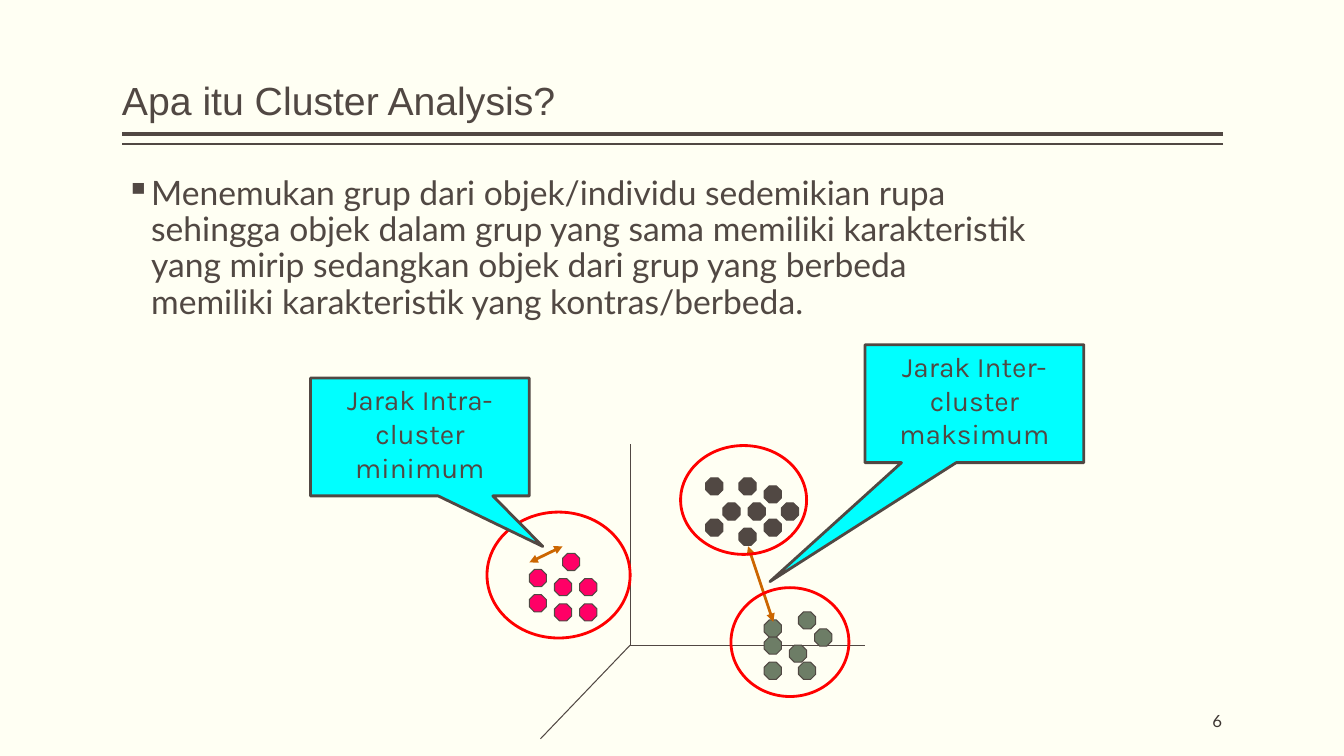
from lxml import etree
from pptx import Presentation
from pptx import util as u
from pptx.dml.color import RGBColor
from pptx.enum import shapes, text
from pptx.oxml.ns import qn

PX = 9144
CREAM = RGBColor(0xFF, 0xFF, 0xF3)
BROWN = RGBColor(0x51, 0x48, 0x43)
DARK = RGBColor(0x3D, 0x36, 0x32)
PINK = RGBColor(0xFF, 0x00, 0x66)
GREEN = RGBColor(0x6D, 0x7D, 0x66)
ORANGE = RGBColor(0xCC, 0x66, 0x00)
CYAN = RGBColor(0x00, 0xFF, 0xFF)
RED = RGBColor(0xFF, 0x00, 0x00)


class ClusterSlide:
    dot_size = 17
    bullet_indent = 25

    def __init__(self, prs):
        self.slide = prs.slides.add_slide(prs.slide_layouts[6])
        self.slide.background.fill.solid()
        self.slide.background.fill.fore_color.rgb = CREAM
        self.shapes = self.slide.shapes

    def px(self, *lengths):
        return [u.Emu(length * PX) for length in lengths]

    def set_words(self, frame, words, font, size, color, align):
        frame.word_wrap = True
        frame.text = words
        paragraph = frame.paragraphs[0]
        paragraph.alignment = align
        for run in paragraph.runs:
            run.font.name = font
            run.font.size = u.Pt(size)
            run.font.color.rgb = color
        return paragraph

    def label(self, box, words, font, size, color=BROWN,
              anchor=text.MSO_ANCHOR.TOP, align=text.PP_ALIGN.LEFT):
        frame = self.shapes.add_textbox(*self.px(*box)).text_frame
        frame.margin_left = frame.margin_right = 0
        frame.vertical_anchor = anchor
        return self.set_words(frame, words, font, size, color, align)

    def bullet(self, paragraph, mark):
        indent = self.bullet_indent * PX
        props = paragraph._p.get_or_add_pPr()
        props.set("marL", str(indent))
        props.set("indent", str(-indent))
        etree.SubElement(props, qn("a:buChar")).set("char", mark)

    def line(self, start, end, width, color=BROWN, arrows=False):
        link = self.shapes.add_connector(
            shapes.MSO_CONNECTOR.STRAIGHT, *self.px(*start, *end))
        link.line.color.rgb = color
        link.line.width = u.Pt(width)
        if arrows:
            stroke = link.line._get_or_add_ln()
            for tip in ("a:headEnd", "a:tailEnd"):
                etree.SubElement(stroke, qn(tip)).set("type", "triangle")
        etree.SubElement(link._element.spPr, qn("a:effectLst"))

    def outline(self, kind, box, fill, color, width):
        shape = self.shapes.add_shape(kind, *self.px(*box))
        shape.shadow.inherit = False
        if fill is None:
            shape.fill.background()
        else:
            shape.fill.solid()
            shape.fill.fore_color.rgb = fill
        shape.line.color.rgb = color
        shape.line.width = u.Pt(width)
        return shape

    def dots(self, places, fill):
        for left, top in places:
            self.outline(shapes.MSO_SHAPE.OCTAGON,
                         (left, top, self.dot_size, self.dot_size),
                         fill, BROWN, 0.75)

    def ring(self, box):
        self.outline(shapes.MSO_SHAPE.OVAL, box, None, RED, 2)

    def callout(self, left, top, words, tip):
        shape = self.outline(shapes.MSO_SHAPE.RECTANGULAR_CALLOUT,
                             (left, top, 217, 117), CYAN, BROWN, 2)
        shape.adjustments[0], shape.adjustments[1] = tip
        shape.text_frame.vertical_anchor = text.MSO_ANCHOR.TOP
        self.set_words(shape.text_frame, words, "Karla", 20, BROWN,
                       text.PP_ALIGN.CENTER)


def main():
    prs = Presentation()
    prs.slide_width, prs.slide_height = u.Emu(1333 * PX), u.Emu(750 * PX)
    page = ClusterSlide(prs)

    for rule_y, weight in ((133, 3), (143, 1)):
        page.line((1213, rule_y), (121, rule_y), weight)
    title = page.label((121, 8, 1092, 120), "Apa itu Cluster Analysis?",
                       "Arial", 28, anchor=text.MSO_ANCHOR.BOTTOM)
    title.line_spacing = 0.9
    definition = page.label(
        (125, 170, 900, 495),
        "Menemukan grup dari objek/individu sedemikian rupa sehingga objek "
        "dalam grup yang sama memiliki karakteristik yang mirip sedangkan "
        "objek dari grup yang berbeda memiliki karakteristik yang "
        "kontras/berbeda.", "Lato", 24)
    definition.line_spacing = 0.9
    page.bullet(definition, "▪")

    origin = (625, 640)
    for axis_end in ((625, 440), (858, 640), (536, 733)):
        page.line(origin, axis_end, 0.75)

    page.dots([(717, 499), (742, 499), (733, 474), (733, 524), (775, 499),
               (758, 482), (700, 474), (758, 515), (700, 515)], BROWN)
    page.dots([(525, 565), (550, 574), (550, 599), (575, 574), (558, 549),
               (575, 599), (525, 590)], PINK)
    page.dots([(758, 615), (808, 624), (783, 640), (758, 657), (792, 657),
               (758, 632), (792, 607)], GREEN)

    page.line((767, 617), (742, 542), 2, ORANGE, arrows=True)
    page.callout(858, 342, "Jarak Inter-cluster maksimum", (-0.935, 1.509))
    for ring in ((483, 508, 142, 125), (675, 442, 125, 108),
                 (725, 583, 117, 108)):
        page.ring(ring)
    page.line((525, 558), (558, 542), 2, ORANGE, arrows=True)
    page.callout(308, 375, "Jarak Intra-cluster minimum", (0.562, 0.929))

    page.label((1012, 695, 200, 40), "6", "Lato", 12, DARK,
               text.MSO_ANCHOR.MIDDLE, text.PP_ALIGN.RIGHT)
    prs.save("out.pptx")


if __name__ == "__main__":
    main()
